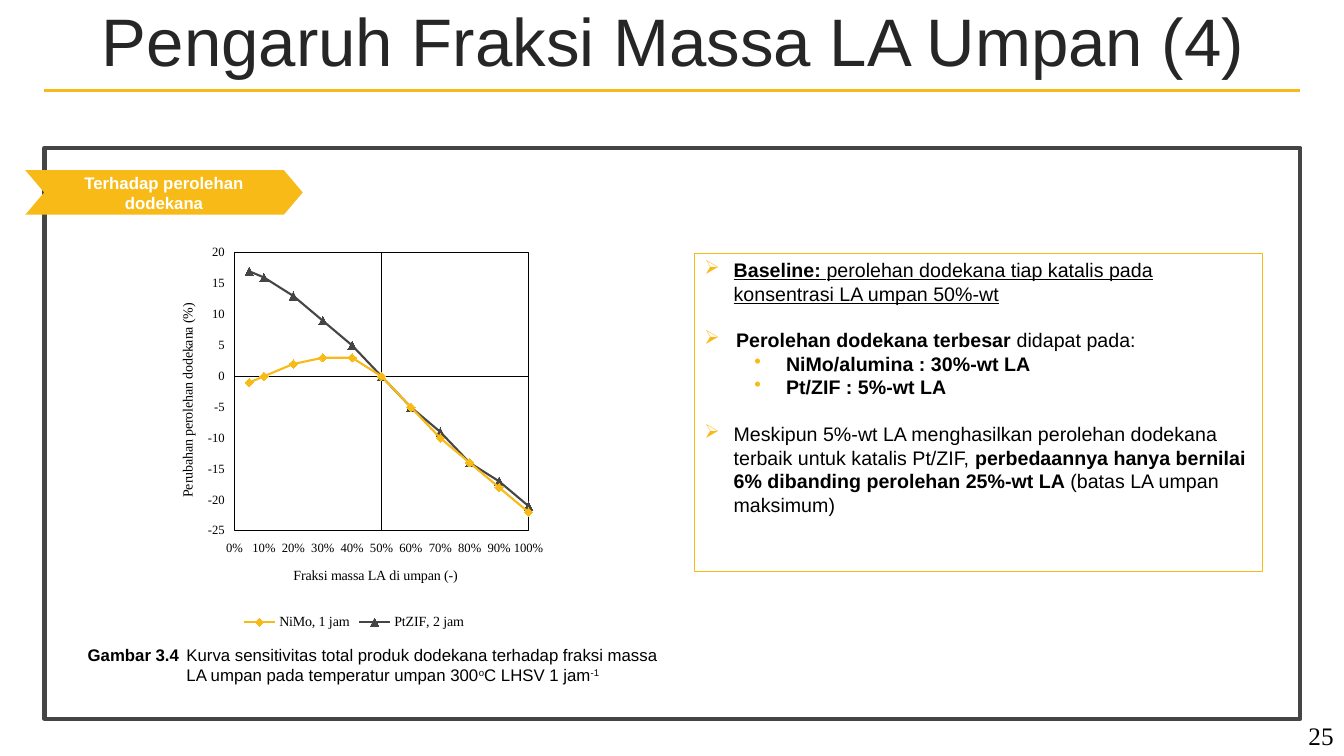
from lxml import etree
from pptx import Presentation
from pptx.chart.data import XyChartData
from pptx.dml.color import RGBColor
from pptx.enum.chart import XL_CHART_TYPE as ChartType, XL_LEGEND_POSITION as LegendPosition
from pptx.enum.chart import XL_MARKER_STYLE as Marker, XL_TICK_LABEL_POSITION as LabelPosition
from pptx.enum.chart import XL_TICK_MARK as TickMark
from pptx.enum.shapes import MSO_CONNECTOR as Connector, MSO_SHAPE as Preset
from pptx.enum.text import MSO_ANCHOR as Anchor, PP_ALIGN as Align
from pptx.oxml import parse_xml
from pptx.oxml.ns import nsdecls, qn
from pptx.util import Cm, Pt

COLORS = {"gold": "F8BA16", "gray": "454545", "title": "262626", "black": "000000", "white": "FFFFFF"}
FRACTIONS = [0.05] + [step / 10 for step in range(1, 11)]
SERIES = [
    ("NiMo, 1 jam", "gold", Marker.DIAMOND, [-1, 0, 2, 3, 3, 0, -5, -10, -14, -18, -22]),
    ("PtZIF, 2 jam", "gray", Marker.TRIANGLE, [17, 16, 13, 9, 5, 0, -5, -9, -14, -17, -21]),
]
FINDINGS = [
    ("➢", 0.74, 0.74, 0, [("Baseline: ", "bu"),
                          ("perolehan dodekana tiap katalis pada konsentrasi LA umpan 50%-wt", "u")]),
    ("➢", 0.8, 0.8, 16.5, [("Perolehan dodekana terbesar ", "b"), ("didapat pada:", "")]),
    ("•", 2.06, 0.8, 0, [("NiMo/alumina : 30%-wt LA", "b")]),
    ("•", 2.06, 0.8, 0, [("Pt/ZIF : 5%-wt LA", "b")]),
    ("➢", 0.74, 0.74, 16.5, [
        ("Meskipun 5%-wt LA menghasilkan perolehan dodekana terbaik untuk katalis Pt/ZIF, ", ""),
        ("perbedaannya hanya bernilai 6% dibanding perolehan 25%-wt LA ", "b"),
        ("(batas LA umpan maksimum)", "")]),
]
CAPTION = [
    ("Gambar 3.4\t", "b"),
    ("Kurva sensitivitas total produk dodekana terhadap fraksi massa LA umpan pada temperatur umpan 300", ""),
    ("o", "^"), ("C LHSV 1 jam", ""), ("-1", "^"),
]


def color(name):
    """Return the named colour."""
    return RGBColor.from_string(COLORS[name])


def lengths(box):
    """Turn a box in centimetres into lengths."""
    return [Cm(value) for value in box]


def style(font, size, name="black", face="Arial", bold=None):
    """Set the look of a font."""
    font.size, font.name, font.bold = Pt(size), face, bold
    font.color.rgb = color(name)


def add_runs(paragraph, runs):
    """Add runs flagged b for bold, u for underline and ^ for superscript."""
    for text, flags in runs:
        run = paragraph.add_run()
        run.text = text
        if "b" in flags:
            run.font.bold = True
        if "u" in flags:
            run.font.underline = True
        if "^" in flags:
            run.font._element.set("baseline", "30000")


def hang(paragraph, left, hanging):
    """Give a paragraph a hanging indent in centimetres."""
    properties = paragraph._p.get_or_add_pPr()
    properties.set("marL", str(Cm(left)))
    properties.set("indent", str(-Cm(hanging)))
    return properties


def add_text(slide, box):
    """Add a wrapping text box and return its frame."""
    frame = slide.shapes.add_textbox(*lengths(box)).text_frame
    frame.word_wrap = True
    return frame


def add_box(slide, preset, box, fill=None, line=None, width=0.75):
    """Add a preset shape with a plain fill or outline."""
    shape = slide.shapes.add_shape(preset, *lengths(box))
    shape.shadow.inherit = False
    if fill:
        shape.fill.solid()
        shape.fill.fore_color.rgb = color(fill)
    else:
        shape.fill.background()
    if line:
        shape.line.color.rgb, shape.line.width = color(line), Pt(width)
    else:
        shape.line.fill.background()
    return shape


def add_heading(slide, box):
    """Place the title and the rule beneath it."""
    left, top, width, height = box
    frame = add_text(slide, box)
    frame.vertical_anchor = Anchor.MIDDLE
    paragraph = frame.paragraphs[0]
    paragraph.text = "Pengaruh Fraksi Massa LA Umpan (4)"
    paragraph.alignment, paragraph.line_spacing = Align.CENTER, 0.9
    style(paragraph.font, 48, "title")
    rule_y = Cm(top + height + 0.15)
    rule = slide.shapes.add_connector(
        Connector.STRAIGHT, Cm(left + 0.23), rule_y, Cm(left + width - 0.28), rule_y)
    rule.line.color.rgb, rule.line.width = color("gold"), Pt(2.25)
    etree.SubElement(rule._element.spPr, qn("a:effectLst"))


def add_panel(slide, box):
    """Place the frame and the chevron label over its left edge."""
    left, top = box[:2]
    add_box(slide, Preset.RECTANGLE, box, line="gray", width=3)
    chevron = add_box(slide, Preset.CHEVRON, (left - 0.48, top + 0.56, 6.99, 1.12), fill="gold")
    chevron.adjustments[0] = 0.424
    frame = chevron.text_frame
    frame.word_wrap, frame.vertical_anchor = True, Anchor.MIDDLE
    paragraph = frame.paragraphs[0]
    paragraph.text, paragraph.alignment = "Terhadap perolehan dodekana", Align.CENTER
    style(paragraph.font, 12, "white", bold=True)


def format_axis(axis, title, low, high, step, number_format):
    """Set the scale, labels, line and title of an axis."""
    axis.minimum_scale, axis.maximum_scale, axis.major_unit = low, high, step
    axis.has_major_gridlines = False
    axis.major_tick_mark = axis.minor_tick_mark = TickMark.NONE
    axis.tick_label_position = LabelPosition.LOW
    labels = axis.tick_labels
    labels.number_format, labels.number_format_is_linked = number_format, False
    style(labels.font, 9, face="Times New Roman")
    axis.format.line.color.rgb, axis.format.line.width = color("black"), Pt(0.75)
    paragraph = axis.axis_title.text_frame.paragraphs[0]
    paragraph.text = title
    style(paragraph.font, 10, face="Times New Roman", bold=False)


def frame_plot(chart):
    """Fix the inner plot area and outline it."""
    plot_area = chart._chartSpace.chart.plotArea
    for layout in plot_area.findall(qn("c:layout")):
        plot_area.remove(layout)
    parts = "".join(f'<c:{tag} val="{value}"/>' for tag, value in [
        ("layoutTarget", "inner"), ("xMode", "edge"), ("yMode", "edge"),
        ("x", 0.2), ("y", 0.04), ("w", 0.74), ("h", 0.7)])
    plot_area.insert(0, parse_xml(
        f'<c:layout {nsdecls("c")}><c:manualLayout>{parts}</c:manualLayout></c:layout>'))
    plot_area.append(parse_xml(
        f'<c:spPr {nsdecls("c", "a")}><a:noFill/><a:ln w="{Pt(0.75)}"><a:solidFill>'
        f'<a:srgbClr val="{COLORS["black"]}"/></a:solidFill></a:ln></c:spPr>'))


def add_yield_chart(slide, box):
    """Place the scatter chart of dodecane yield."""
    data = XyChartData()
    for name, _, _, values in SERIES:
        series = data.add_series(name)
        for fraction, value in zip(FRACTIONS, values):
            series.add_data_point(fraction, value)
    chart = slide.shapes.add_chart(ChartType.XY_SCATTER_LINES, *lengths(box), data).chart
    style(chart.font, 10, face="Times New Roman")
    chart.has_title = False
    chart.has_legend = True
    chart.legend.position, chart.legend.include_in_layout = LegendPosition.BOTTOM, False
    chart.plots[0].vary_by_categories = False
    for series, (_, tone, symbol, _) in zip(chart.plots[0].series, SERIES):
        series.smooth = False
        series.format.line.color.rgb, series.format.line.width = color(tone), Pt(1.5)
        marker = series.marker
        marker.style, marker.size = symbol, 6
        marker.format.fill.solid()
        marker.format.fill.fore_color.rgb = marker.format.line.color.rgb = color(tone)
    format_axis(chart.category_axis, "Fraksi massa LA di umpan (-)", 0, 1, 0.1, "0%")
    format_axis(chart.value_axis, "Perubahan perolehan dodekana (%)", -25, 20, 5, "#,##0")
    chart.category_axis.crosses_at = 0.5
    frame_plot(chart)


def add_caption(slide, box):
    """Place the figure caption with its hanging number."""
    paragraph = add_text(slide, box).paragraphs[0]
    add_runs(paragraph, CAPTION)
    hang(paragraph, 2.49, 2.49)
    style(paragraph.font, 12)


def add_findings(slide, box):
    """Place the outlined list of findings."""
    frame = add_box(slide, Preset.RECTANGLE, box, line="gold").text_frame
    frame.word_wrap, frame.vertical_anchor = True, Anchor.TOP
    for index, (bullet, left, hanging, space, runs) in enumerate(FINDINGS):
        paragraph = frame.add_paragraph() if index else frame.paragraphs[0]
        properties = hang(paragraph, left, hanging)
        tint = etree.SubElement(properties, qn("a:buClr"))
        etree.SubElement(tint, qn("a:srgbClr")).set("val", COLORS["gold"])
        etree.SubElement(properties, qn("a:buChar")).set("char", bullet)
        paragraph.alignment = Align.LEFT
        if space:
            paragraph.space_before = Pt(space)
        add_runs(paragraph, runs)
        style(paragraph.font, 14)


def add_page_number(slide, box):
    """Place the page number."""
    paragraph = add_text(slide, box).paragraphs[0]
    paragraph.text, paragraph.alignment = "25", Align.RIGHT
    style(paragraph.font, 18, face="Times New Roman")


def main():
    """Build and save the slide."""
    presentation = Presentation()
    presentation.slide_width, presentation.slide_height = Cm(33.87), Cm(19.05)
    slide = presentation.slides.add_slide(presentation.slide_layouts[6])
    add_page_number(slide, (32.05, 18.03, 1.81, 1.02))
    add_heading(slide, (0.89, 0.13, 32.16, 2.01))
    add_panel(slide, (1.12, 3.73, 31.65, 14.38))
    add_caption(slide, (1.96, 16.13, 14.88, 1.27))
    add_findings(slide, (17.5, 6.38, 14.33, 8.03))
    add_yield_chart(slide, (3.91, 5.97, 10.01, 10.01))
    presentation.save("out.pptx")


if __name__ == "__main__":
    main()
